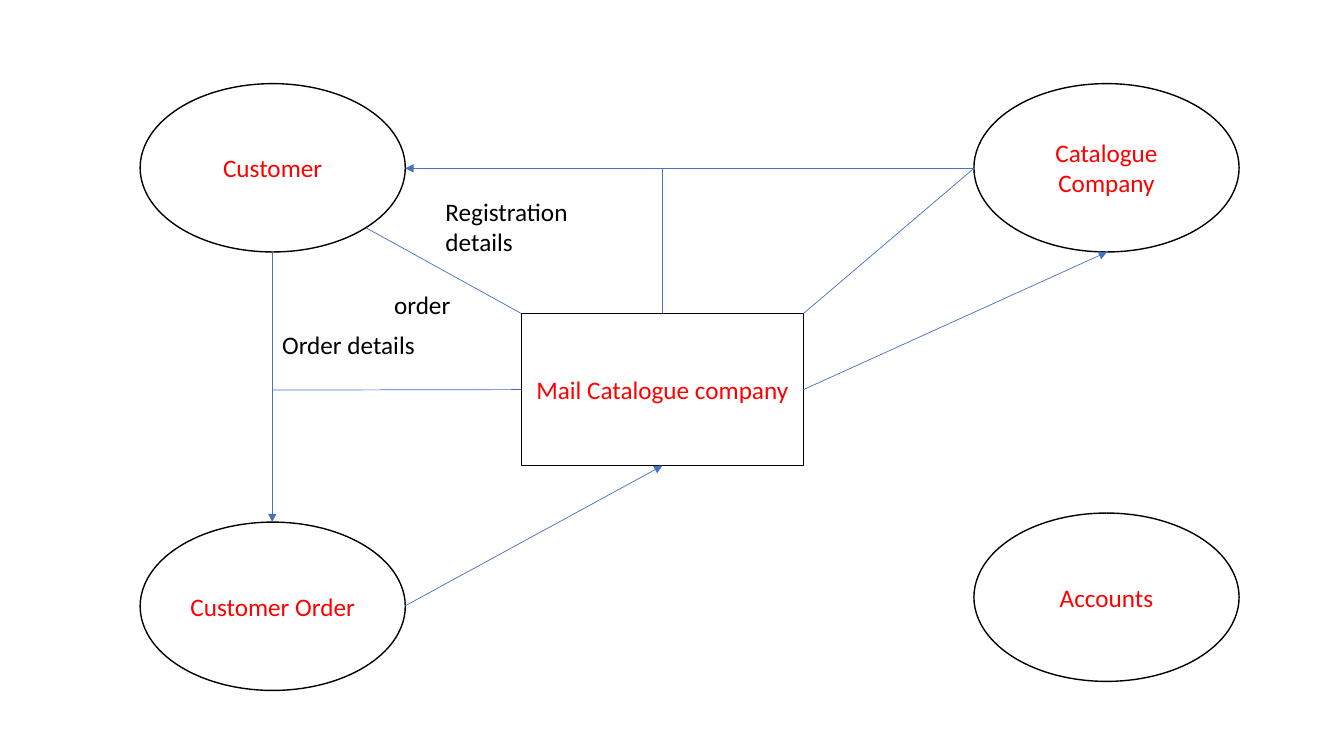
from dataclasses import dataclass
from typing import Optional

from lxml import etree
from pptx import Presentation
from pptx import util as u
from pptx.dml.color import RGBColor
from pptx.enum import shapes, text
from pptx.oxml import ns

BLACK, WHITE, RED, BLUE = "000000", "FFFFFF", "FF0000", "4472C4"
RECTANGLE = shapes.MSO_SHAPE.RECTANGLE
ELLIPSE = shapes.MSO_SHAPE.OVAL
TOP, LEFT, BOTTOM, RIGHT = range(4)


@dataclass(frozen=True)
class Node:
    label: str
    left: float
    top: float
    width: float = 2.63
    height: float = 1.67
    kind: shapes.MSO_SHAPE = ELLIPSE


@dataclass(frozen=True)
class Flow:
    start: tuple[float, float]
    end: tuple[float, float]
    arrow: bool = False
    start_side: Optional[int] = None
    end_side: Optional[int] = None


@dataclass(frozen=True)
class Caption:
    label: str
    left: float
    top: float
    width: float
    height: float = 0.4


COMPANY = Node("Mail Catalogue company", 5.17, 3.11, 2.8, 1.51, RECTANGLE)
NODES = [
    Node("Customer", 1.39, 0.83),
    Node("Catalogue Company", 9.66, 0.83),
    Node("Customer Order", 1.39, 5.18),
    Node("Accounts", 9.66, 5.09),
]
FLOWS = [
    Flow((7.97, 3.87), (10.98, 2.5), arrow=True, start_side=RIGHT),
    Flow((9.66, 1.67), (4.02, 1.67), arrow=True),
    Flow((2.7, 2.5), (2.7, 5.18), arrow=True),
    Flow((4.02, 6.01), (6.57, 4.62), arrow=True, end_side=BOTTOM),
    Flow((6.57, 3.11), (6.57, 1.67), start_side=TOP),
    Flow((5.17, 3.87), (2.7, 3.87), start_side=LEFT),
    Flow((7.97, 3.11), (9.66, 1.67)),
    Flow((3.63, 2.26), (5.17, 3.11)),
]
CAPTIONS = [
    Caption("Registration details", 4.32, 1.9, 1.65, 0.71),
    Caption("order", 3.81, 2.82, 0.89),
    Caption("Order details", 2.7, 3.22, 1.76),
]


def rgb(value: str) -> RGBColor:
    return RGBColor.from_string(value)


def write_text(shape, content: str, *, color: str = BLACK, size: float = 18,
               align=text.PP_ALIGN.LEFT, anchor=text.MSO_ANCHOR.TOP) -> None:
    frame = shape.text_frame
    frame.word_wrap = True
    frame.vertical_anchor = anchor
    paragraph = frame.paragraphs[0]
    paragraph.alignment = align
    run = paragraph.add_run()
    run.text = content
    run.font.name = "Calibri"
    run.font.size = u.Pt(size)
    run.font.color.rgb = rgb(color)


def box(item) -> list[int]:
    return [u.Inches(n) for n in (item.left, item.top, item.width, item.height)]


def draw_node(slide, node: Node):
    shape = slide.shapes.add_shape(node.kind, *box(node))
    shape.shadow.inherit = False
    shape.fill.solid()
    shape.fill.fore_color.rgb = rgb(WHITE)
    shape.line.color.rgb = rgb(BLACK)
    shape.line.width = u.Pt(1)
    write_text(shape, node.label, color=RED, align=text.PP_ALIGN.CENTER,
               anchor=text.MSO_ANCHOR.MIDDLE)
    return shape


def draw_flow(slide, flow: Flow, company) -> None:
    ends = [u.Inches(n) for n in (*flow.start, *flow.end)]
    connector = slide.shapes.add_connector(shapes.MSO_CONNECTOR.STRAIGHT, *ends)
    if flow.start_side is not None:
        connector.begin_connect(company, flow.start_side)
    if flow.end_side is not None:
        connector.end_connect(company, flow.end_side)
    connector.line.color.rgb = rgb(BLUE)
    connector.line.width = u.Pt(0.5)
    if flow.arrow:
        line = connector.line._get_or_add_ln()
        etree.SubElement(line, ns.qn("a:tailEnd"), type="triangle")
    etree.SubElement(connector._element.spPr, ns.qn("a:effectLst"))


def draw_caption(slide, caption: Caption) -> None:
    shape = slide.shapes.add_textbox(*box(caption))
    write_text(shape, caption.label)
    shape.text_frame.auto_size = text.MSO_AUTO_SIZE.SHAPE_TO_FIT_TEXT


def main() -> None:
    presentation = Presentation()
    presentation.slide_width = u.Inches(13.33)
    presentation.slide_height = u.Inches(7.5)
    slide = presentation.slides.add_slide(presentation.slide_layouts[6])
    company = draw_node(slide, COMPANY)
    for node in NODES:
        draw_node(slide, node)
    for flow in FLOWS:
        draw_flow(slide, flow, company)
    for caption in CAPTIONS:
        draw_caption(slide, caption)
    presentation.save("out.pptx")


if __name__ == "__main__":
    main()
